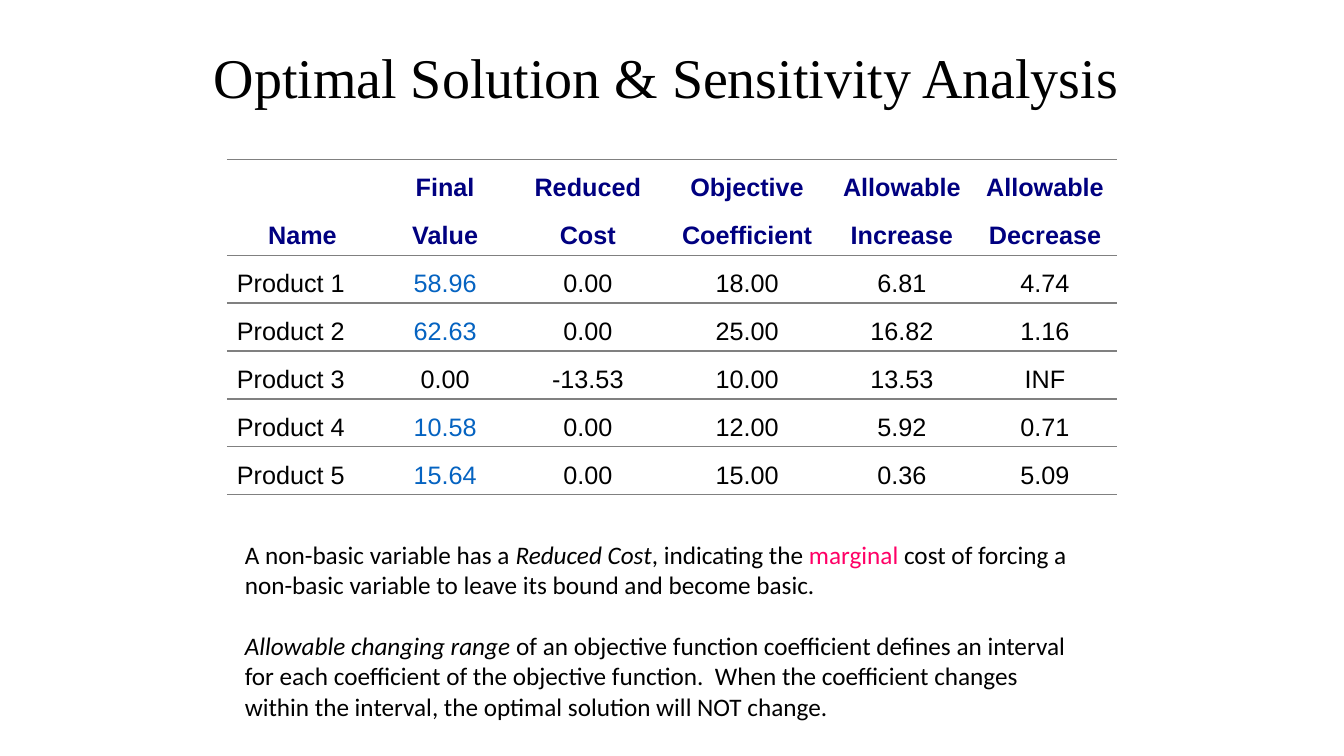
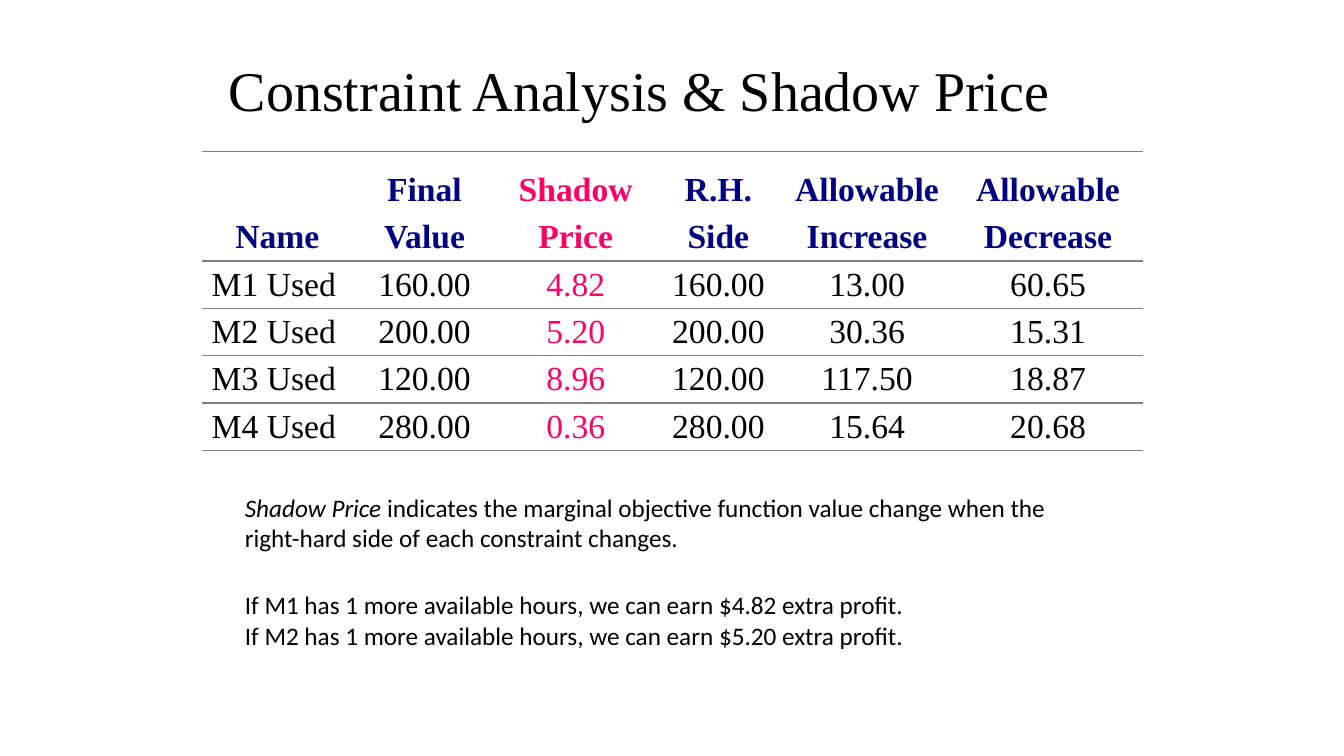
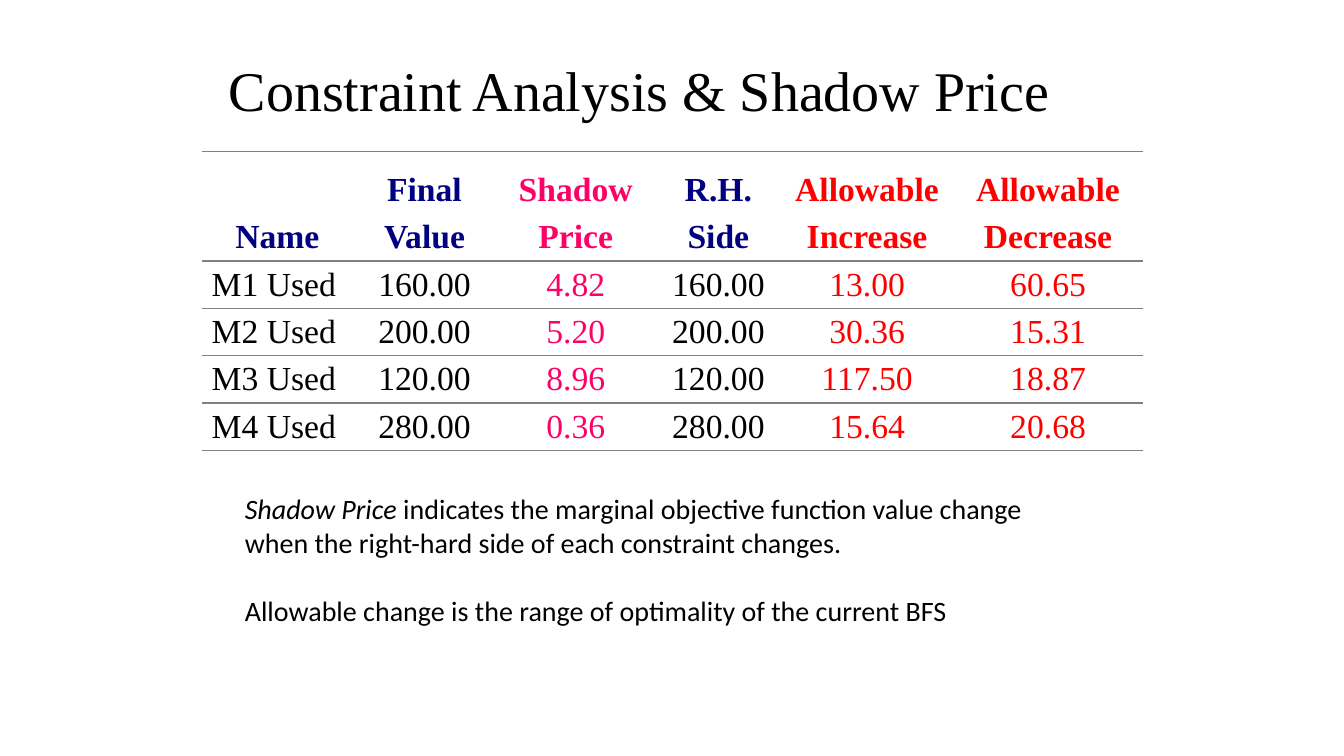
import pptx
import pptx.util
import pptx.dml.color
import pptx.enum.text
import pptx.oxml
from pptx.util import Inches, Pt

BLACK, NAVY, BLUE = "000000", "000080", "0563C1"
PINK, RED, GRAY = "FF0066", "FF0000", "808080"
SERIF, SANS, BODY = "Times New Roman", "Arial", "Calibri"
PLAIN = "{2D5ABB26-0587-4C30-8999-92F81FD0307C}"  # no style, no grid
ALIGN = pptx.enum.text.PP_ALIGN
ANCHOR = pptx.enum.text.MSO_ANCHOR
FIT = pptx.enum.text.MSO_AUTO_SIZE

# "hues" tints whole columns, "marks" only the nonzero body values of a column.
COSTS = dict(
    at=(2.25, 1.58), font=SANS, size=18,
    cols=[1.5, 1.33, 1.5, 1.66, 1.41, 1.43], heights=[3.33 / 7] * 7,
    hues={}, marks={1: BLUE},
    rows=[
        ["", "Final", "Reduced", "Objective", "Allowable", "Allowable"],
        ["Name", "Value", "Cost", "Coefficient", "Increase", "Decrease"],
        ["Product 1", "58.96", "0.00", "18.00", "6.81", "4.74"],
        ["Product 2", "62.63", "0.00", "25.00", "16.82", "1.16"],
        ["Product 3", "0.00", "-13.53", "10.00", "13.53", "INF"],
        ["Product 4", "10.58", "0.00", "12.00", "5.92", "0.71"],
        ["Product 5", "15.64", "0.00", "15.00", "0.36", "5.09"],
    ])
PRICES = dict(
    at=(2, 1.5), font=SERIF, size=24,
    cols=[1.5, 1.42, 1.58, 1.25, 1.7, 1.89], heights=[0.62] + [0.47] * 5,
    hues={2: PINK}, marks={},
    rows=[
        ["", "Final", "Shadow", "R.H.", "Allowable", "Allowable"],
        ["Name", "Value", "Price", "Side", "Increase", "Decrease"],
        ["M1 Used", "160.00", "4.82", "160.00", "13.00", "60.65"],
        ["M2 Used", "200.00", "5.20", "200.00", "30.36", "15.31"],
        ["M3 Used", "120.00", "8.96", "120.00", "117.50", "18.87"],
        ["M4 Used", "280.00", "0.36", "280.00", "15.64", "20.68"],
    ])
RANGES = {**PRICES, "hues": {2: PINK, 4: RED, 5: RED}}

# Runs are (text, style); style is "", "i" for italic, or a colour.
SHADOW = [("Shadow Price", "i"),
          (" indicates the marginal objective function value change when the "
           "right-hard side of each constraint changes.", "")]
REDUCED = [("A non-basic variable has a ", ""), ("Reduced Cost", "i"),
           (", indicating the ", ""), ("marginal", PINK),
           (" cost of forcing a non-basic variable to leave its bound and "
            "become basic.", "")]
CHANGE = [("Allowable changing range", "i"),
          (" of an objective function coefficient defines an interval for each "
           "coefficient of the objective function.  When the coefficient "
           "changes within the interval, the optimal solution will NOT change.",
           "")]
EARN = [[(f"If {name} has 1 more available hours, we can earn ${gain} "
          "extra profit.", "")] for name, gain in (("M1", "4.82"), ("M2", "5.20"))]
BEST = [("Allowable change is the range of optimality of the current BFS", "")]

# Notes are (box, size, gap between paragraphs, paragraphs).
CONSTRAINT = ("Constraint Analysis & Shadow Price", (2.17, 0.3, 9.17, 1.25))
SLIDES = [
    ("Optimal Solution & Sensitivity Analysis", (2.02, 0.17, 9.23, 1.25), COSTS,
     [((2.33, 5.3, 8.5, 2.22), 18, 22, [REDUCED, CHANGE])]),
    (*CONSTRAINT, PRICES,
     [((2.33, 4.83, 8.5, 0.91), 18, 0, [SHADOW]),
      ((2.33, 5.8, 9.08, 1.72), 18, 0, EARN)]),
    (*CONSTRAINT, RANGES,
     [((2.33, 4.83, 8.5, 1.45), 20, 24.4, [SHADOW, BEST])]),
]


def rgb(hue):
    return pptx.dml.color.RGBColor.from_string(hue)


def style(font, name, size, hue=BLACK, bold=False):
    font.name, font.size, font.bold = name, Pt(size), bold
    font.color.rgb = rgb(hue)


def add_title(slide, text, box):
    title = slide.shapes.title
    title.left, title.top, title.width, title.height = map(Inches, box)
    frame = title.text_frame
    frame.text = text
    frame.auto_size = FIT.NONE
    frame.vertical_anchor = ANCHOR.MIDDLE
    para = frame.paragraphs[0]
    para.alignment, para.line_spacing = ALIGN.LEFT, 0.9
    style(para.font, SERIF, 40)


def rule(cell, side):
    """Draw a thin gray border on one side, 'T' or 'B'."""
    line = pptx.oxml.parse_xml(
        f'<a:ln{side} xmlns:a="http://schemas.openxmlformats.org/drawingml/2006/main"'
        f' w="{Pt(1)}"><a:solidFill><a:srgbClr val="{GRAY}"/></a:solidFill></a:ln{side}>')
    cell._tc.get_or_add_tcPr().insert(0, line)


def add_grid(slide, data):
    rows, cols, heights = data["rows"], data["cols"], data["heights"]
    size = (sum(cols), sum(heights))
    frame = slide.shapes.add_table(len(rows), len(cols),
                                   *map(Inches, data["at"] + size))
    table = frame.table
    table.first_row = table.horz_banding = False
    table._tbl.tblPr[0].text = PLAIN
    for col, width in zip(table.columns, cols):
        col.width = Inches(width)
    for r, row in enumerate(rows):
        table.rows[r].height = Inches(heights[r])
        head = r < 2
        for c, text in enumerate(row):
            cell = table.cell(r, c)
            cell.text = text
            cell.fill.background()
            cell.vertical_anchor = ANCHOR.BOTTOM
            cell.margin_top = Inches(0.03)
            hue = data["hues"].get(c, NAVY if head else BLACK)
            if not head and text != "0.00":
                hue = data["marks"].get(c, hue)
            para = cell.text_frame.paragraphs[0]
            para.alignment = ALIGN.CENTER if head or c else ALIGN.LEFT
            style(para.font, data["font"], data["size"], hue, head)
            if r != 1:
                rule(cell, "B" if r else "T")
            else:
                rule(cell, "B")


def add_note(slide, box, size, gap, paras):
    frame = slide.shapes.add_textbox(*map(Inches, box)).text_frame
    frame.word_wrap = True
    for i, runs in enumerate(paras):
        para = frame.paragraphs[0] if i == 0 else frame.add_paragraph()
        para.space_before = Pt(gap if i else 0)
        style(para.font, BODY, size)
        for text, look in runs:
            run = para.add_run()
            run.text = text
            if look == "i":
                run.font.italic = True
            elif look:
                run.font.color.rgb = rgb(look)


def main():
    deck = pptx.Presentation()
    deck.slide_width, deck.slide_height = Inches(13.33), Inches(7.5)
    for title, box, data, notes in SLIDES:
        slide = deck.slides.add_slide(deck.slide_layouts[5])
        add_title(slide, title, box)
        add_grid(slide, data)
        for note in notes:
            add_note(slide, *note)
    deck.save("out.pptx")


if __name__ == "__main__":
    main()
